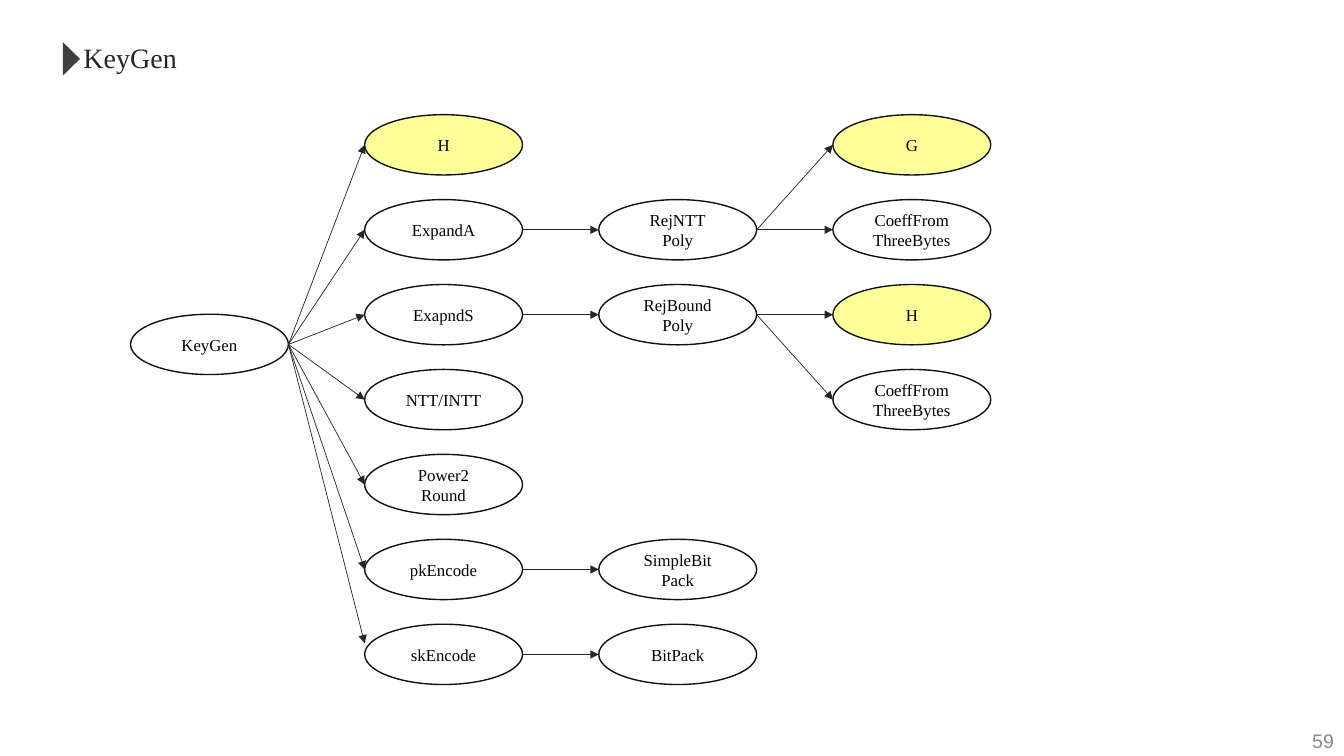
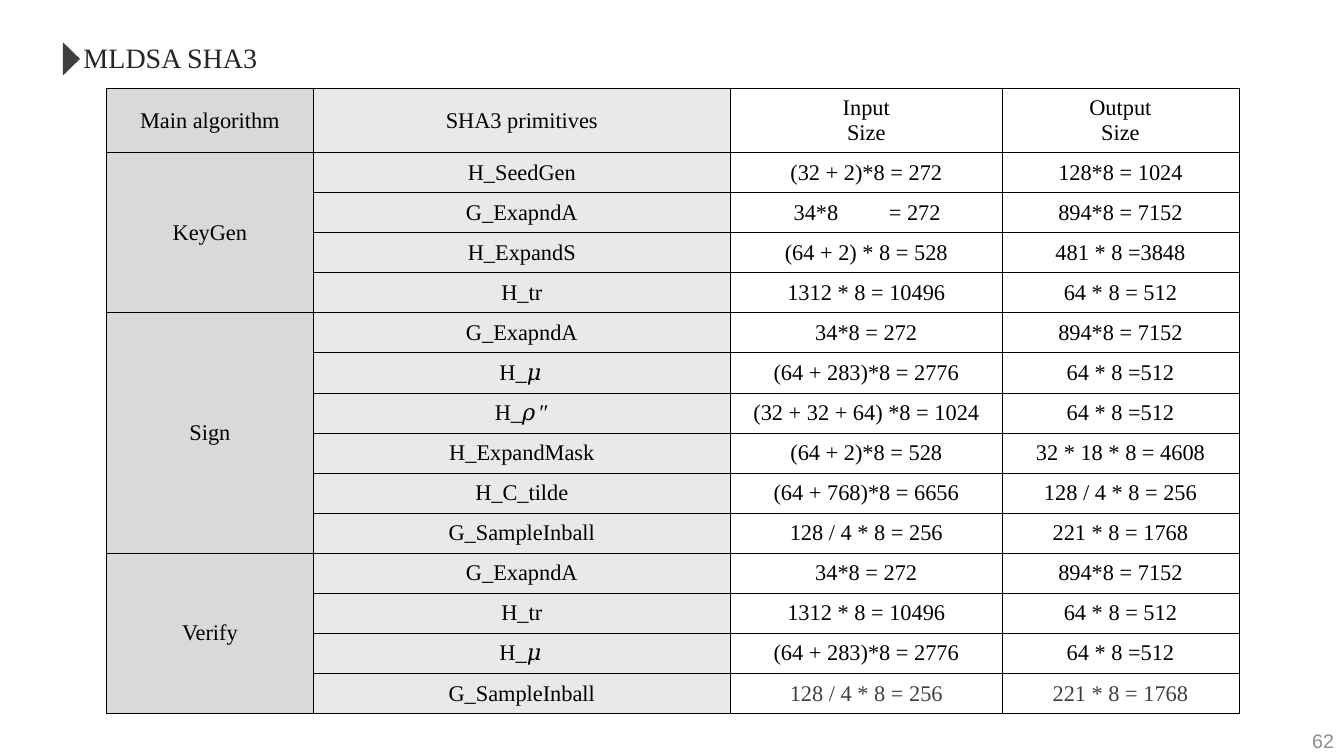
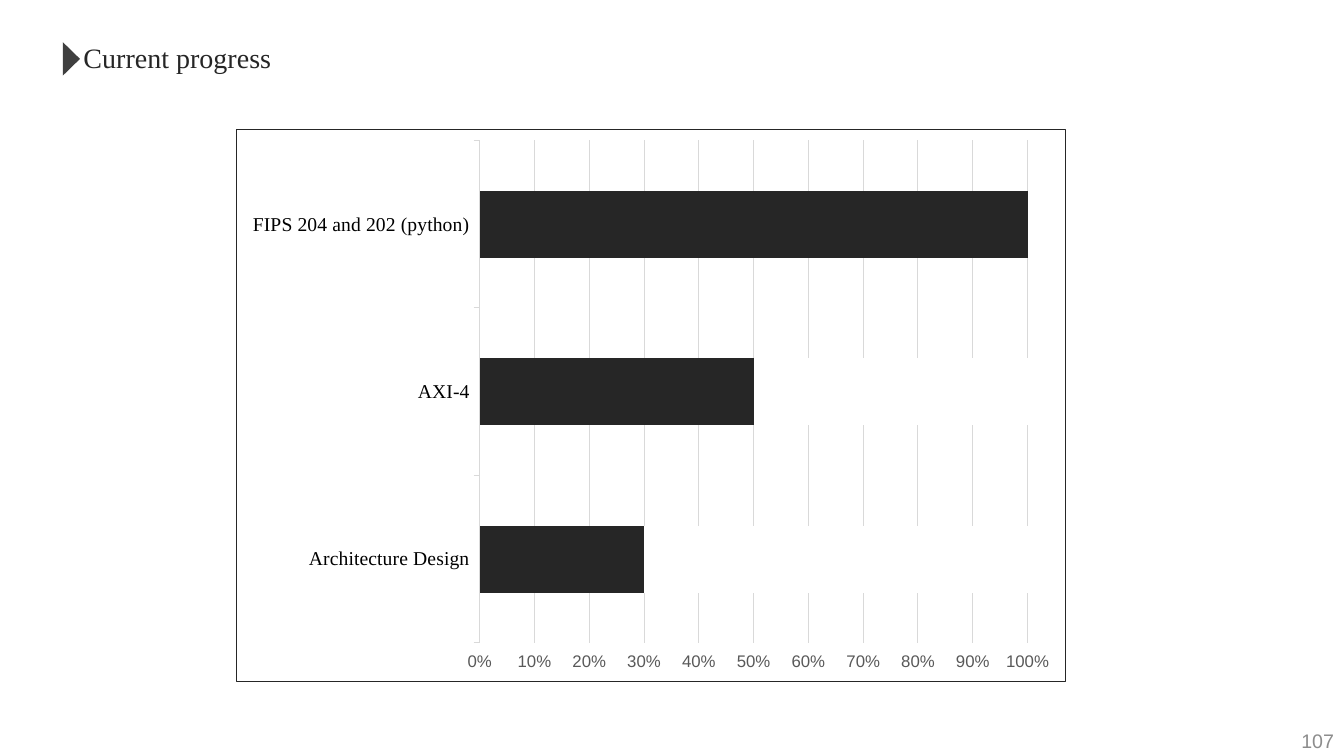
from pptx import Presentation
from pptx.chart.data import CategoryChartData
from pptx.dml.color import RGBColor
from pptx.enum.chart import XL_CHART_TYPE, XL_TICK_MARK
from pptx.enum.shapes import MSO_CONNECTOR, MSO_SHAPE
from pptx.enum.text import MSO_ANCHOR, MSO_AUTO_SIZE, PP_ALIGN
from pptx.oxml import parse_xml
from pptx.oxml.ns import nsdecls, qn
from pptx.util import Cm, Pt

COLOURS = {
    "ink": "262626",
    "black": "000000",
    "outline": "111111",
    "dark": "3F3F3F",
    "page": "8C8C8C",
    "tick": "595959",
    "grid": "D9D9D9",
    "group": "D9D9D9",
    "primitive": "E9E9E9",
    "hash": "FFFF99",
    "white": "FFFFFF",
}
SERIF, SANS = "Times New Roman", "Arial"
NODE_WIDTH, NODE_HEIGHT = 3.98, 1.52
ROOT = (0, 2.35)

CALLS = {
    ROOT: "KeyGen",
    (1, 0): "H",
    (1, 1): "ExpandA",
    (1, 2): "ExapndS",
    (1, 3): "NTT/INTT",
    (1, 4): "Power2\nRound",
    (1, 5): "pkEncode",
    (1, 6): "skEncode",
    (2, 1): "RejNTT\nPoly",
    (2, 2): "RejBound\nPoly",
    (2, 5): "SimpleBit\nPack",
    (2, 6): "BitPack",
    (3, 0): "G",
    (3, 1): "CoeffFrom\nThreeBytes",
    (3, 2): "H",
    (3, 3): "CoeffFrom\nThreeBytes",
}
ARROWS = [(ROOT, (1, row)) for row in range(6)] + [
    (ROOT, (1, 5.87)),
    *[((1, row), (2, row)) for row in (1, 2, 5, 6)],
    ((2, 1), (3, 0)),
    ((2, 1), (3, 1)),
    ((2, 2), (3, 2)),
    ((2, 2), (3, 3)),
]

HEADINGS = ["Main algorithm", "SHA3 primitives", "Input\nSize", "Output\nSize"]
ALGORITHMS = {
    "KeyGen": [
        ("H_SeedGen", "(32 + 2)*8 = 272", "128*8 = 1024"),
        ("G_ExapndA", "34*8\t= 272", "894*8 = 7152"),
        ("H_ExpandS", "(64 + 2) * 8 = 528", "481 * 8 =3848"),
        ("H_tr", "1312 * 8 = 10496", "64 * 8 = 512"),
    ],
    "Sign": [
        ("G_ExapndA", "34*8 = 272", "894*8 = 7152"),
        ("H_𝜇", "(64 + 283)*8 = 2776", "64 * 8 =512"),
        ("H_𝜌″", "(32 + 32 + 64) *8 = 1024", "64 * 8 =512"),
        ("H_ExpandMask", "(64 + 2)*8 = 528", "32 * 18 * 8 = 4608"),
        ("H_C_tilde", "(64 + 768)*8 = 6656", "128 / 4 * 8 = 256"),
        ("G_SampleInball", "128 / 4 * 8 = 256", "221 * 8 = 1768"),
    ],
    "Verify": [
        ("G_ExapndA", "34*8 = 272", "894*8 = 7152"),
        ("H_tr", "1312 * 8 = 10496", "64 * 8 = 512"),
        ("H_𝜇", "(64 + 283)*8 = 2776", "64 * 8 =512"),
        ("G_SampleInball", "128 / 4 * 8 = 256", "221 * 8 = 1768"),
    ],
}


def rgb(name):
    """Return the named colour."""
    return RGBColor.from_string(COLOURS[name])


def style_font(font, size, colour, face):
    """Set the size, colour and face of a font."""
    font.size, font.name, font.bold = Pt(size), face, False
    font.color.rgb = rgb(colour)


def write(frame, text, size=12, colour="black", face=SERIF, align=PP_ALIGN.CENTER, tab=None):
    """Fill a text frame, one paragraph per line of text."""
    frame.text = text
    for paragraph in frame.paragraphs:
        paragraph.alignment = align
        if tab:
            paragraph._p.get_or_add_pPr().append(parse_xml(
                f'<a:tabLst {nsdecls("a")}><a:tab pos="{Cm(tab)}" algn="l"/></a:tabLst>'))
        for run in paragraph.runs:
            style_font(run.font, size, colour, face)


def add_page(deck, title, number):
    """Add a slide with its title, marker and page number."""
    slide = deck.slides.add_slide(deck.slide_layouts[5])
    heading = slide.shapes.title
    heading.left, heading.top, heading.width, heading.height = Cm(1.85), Cm(0.89), Cm(5.5), Cm(1.12)
    write(heading.text_frame, title, size=20, colour="ink", align=PP_ALIGN.LEFT)
    heading.text_frame.vertical_anchor = MSO_ANCHOR.TOP
    heading.text_frame.auto_size = MSO_AUTO_SIZE.NONE

    marker = slide.shapes.add_shape(
        MSO_SHAPE.ISOSCELES_TRIANGLE, Cm(1.38), Cm(1.27), Cm(0.84), Cm(0.43))
    marker.rotation = 90
    marker.shadow.inherit = False
    marker.fill.solid()
    marker.fill.fore_color.rgb = rgb("dark")
    marker.line.fill.background()

    page = slide.shapes.add_textbox(Cm(26.25), Cm(18.16), Cm(7.62), Cm(1.02)).text_frame
    page.word_wrap = True
    page.vertical_anchor = MSO_ANCHOR.MIDDLE
    write(page, str(number), size=14, colour="page", face=SANS, align=PP_ALIGN.RIGHT)
    return slide


def node_corner(place):
    """Return the left and top of a call graph place in centimetres."""
    column, row = place
    return 3.29 + 5.9 * column, 2.89 + 2.14 * row


def add_call(slide, place, text):
    """Add one function of the call graph."""
    left, top = node_corner(place)
    call = slide.shapes.add_shape(
        MSO_SHAPE.OVAL, Cm(left), Cm(top), Cm(NODE_WIDTH), Cm(NODE_HEIGHT))
    call.shadow.inherit = False
    if text in ("H", "G"):
        call.fill.solid()
        call.fill.fore_color.rgb = rgb("hash")
    else:
        call.fill.background()
    call.line.color.rgb = rgb("outline")
    call.line.width = Pt(1)
    frame = call.text_frame
    frame.margin_left = frame.margin_right = frame.margin_top = frame.margin_bottom = 0
    frame.vertical_anchor = MSO_ANCHOR.MIDDLE
    write(frame, text)


def add_arrow(slide, caller, callee):
    """Add an arrow from the right of the caller to the left of the callee."""
    caller_left, caller_top = node_corner(caller)
    callee_left, callee_top = node_corner(callee)
    middle = NODE_HEIGHT / 2
    arrow = slide.shapes.add_connector(
        MSO_CONNECTOR.STRAIGHT, Cm(caller_left + NODE_WIDTH), Cm(caller_top + middle),
        Cm(callee_left), Cm(callee_top + middle))
    arrow.line.color.rgb = rgb("ink")
    arrow.line.width = Pt(0.5)
    properties = arrow._element.spPr
    properties.find(qn("a:ln")).append(parse_xml(f'<a:tailEnd {nsdecls("a")} type="triangle"/>'))
    properties.append(parse_xml(f'<a:effectLst {nsdecls("a")}/>'))


def fill_cell(cell, text, fill, **text_format):
    """Write a bordered table cell on a plain fill."""
    write(cell.text_frame, text, size=16, **text_format)
    cell.vertical_anchor = MSO_ANCHOR.MIDDLE
    cell.fill.solid()
    cell.fill.fore_color.rgb = rgb(fill)
    properties = cell._tc.get_or_add_tcPr()
    for position, side in enumerate(("lnL", "lnR", "lnT", "lnB")):
        properties.insert(position, parse_xml(
            f'<a:{side} {nsdecls("a")} w="{Pt(0.5)}"><a:solidFill>'
            f'<a:srgbClr val="{COLOURS["black"]}"/></a:solidFill></a:{side}>'))


def add_sizes_table(slide):
    """Add the table of SHA3 input and output sizes."""
    rows = [HEADINGS] + [
        (algorithm, *sizes) for algorithm, group in ALGORITHMS.items() for sizes in group]
    widths = (5.2, 10.52, 6.84, 5.97)
    fills = ("group", "primitive", "white", "white")
    table = slide.shapes.add_table(
        len(rows), len(widths), Cm(2.69), Cm(2.23), Cm(sum(widths)), Cm(15.75)).table
    table.first_row = table.horz_banding = False
    for column, width in zip(table.columns, widths):
        column.width = Cm(width)
    for index, row in enumerate(rows):
        table.rows[index].height = Cm(1.01 if index else 1.61)
        for column, text in enumerate(row):
            cell = table.cell(index, column)
            if column == 0 and index and rows[index - 1][0] == text:
                text = ""
            text_format = {}
            if index == len(rows) - 1 and column > 1:
                text_format["colour"] = "dark"
            if "\t" in text:
                text_format.update(align=PP_ALIGN.LEFT, tab=2.4)
                cell.margin_left = Cm(1.59)
            fill_cell(cell, text, fills[column], **text_format)
    first = 1
    for group in ALGORITHMS.values():
        last = first + len(group) - 1
        table.cell(first, 0).merge(table.cell(last, 0))
        first = last + 1


def add_progress_chart(slide):
    """Add the stacked bars of finished and remaining work."""
    progress = CategoryChartData()
    progress.categories = ["Architecture Design", "AXI-4", "FIPS 204 and 202 (python)"]
    progress.add_series("Series 1", (30, 50, 100))
    progress.add_series("Series 2", (70, 50, 0))
    progress.add_series("Series 3", (None, None, None))
    chart = slide.shapes.add_chart(
        XL_CHART_TYPE.BAR_STACKED_100, Cm(5.94), Cm(3.25), Cm(20.93), Cm(13.94), progress).chart
    chart.has_legend = chart.has_title = False
    style_font(chart.font, 10, "black", SANS)
    chart._chartSpace.find(qn("c:chart")).addnext(parse_xml(
        f'<c:spPr {nsdecls("c", "a")}><a:noFill/><a:ln w="{Pt(0.75)}"><a:solidFill>'
        f'<a:srgbClr val="{COLOURS["ink"]}"/></a:solidFill></a:ln></c:spPr>'))

    bars = chart.plots[0]
    bars.gap_width, bars.overlap = 150, 100
    bars.vary_by_categories = False
    for series, colour in zip(bars.series, ("ink", "white", "ink")):
        series.format.fill.solid()
        series.format.fill.fore_color.rgb = rgb(colour)

    tasks, share = chart.category_axis, chart.value_axis
    style_font(tasks.tick_labels.font, 14, "black", SERIF)
    style_font(share.tick_labels.font, 12, "tick", SANS)
    share.tick_labels.number_format = "0%"
    share.tick_labels.number_format_is_linked = False
    share.has_major_gridlines = True
    for line in (tasks.format.line, share.major_gridlines.format.line):
        line.color.rgb = rgb("grid")
        line.width = Pt(0.75)
    share.format.line.fill.background()
    tasks.major_tick_mark = share.major_tick_mark = XL_TICK_MARK.OUTSIDE


def main():
    """Build and save the three slides."""
    deck = Presentation()
    deck.slide_width, deck.slide_height = Cm(33.87), Cm(19.05)

    call_graph = add_page(deck, "KeyGen", 59)
    for place, text in CALLS.items():
        add_call(call_graph, place, text)
    for caller, callee in ARROWS:
        add_arrow(call_graph, caller, callee)

    add_sizes_table(add_page(deck, "MLDSA SHA3", 62))
    add_progress_chart(add_page(deck, "Current progress", 107))
    deck.save("out.pptx")


if __name__ == "__main__":
    main()
